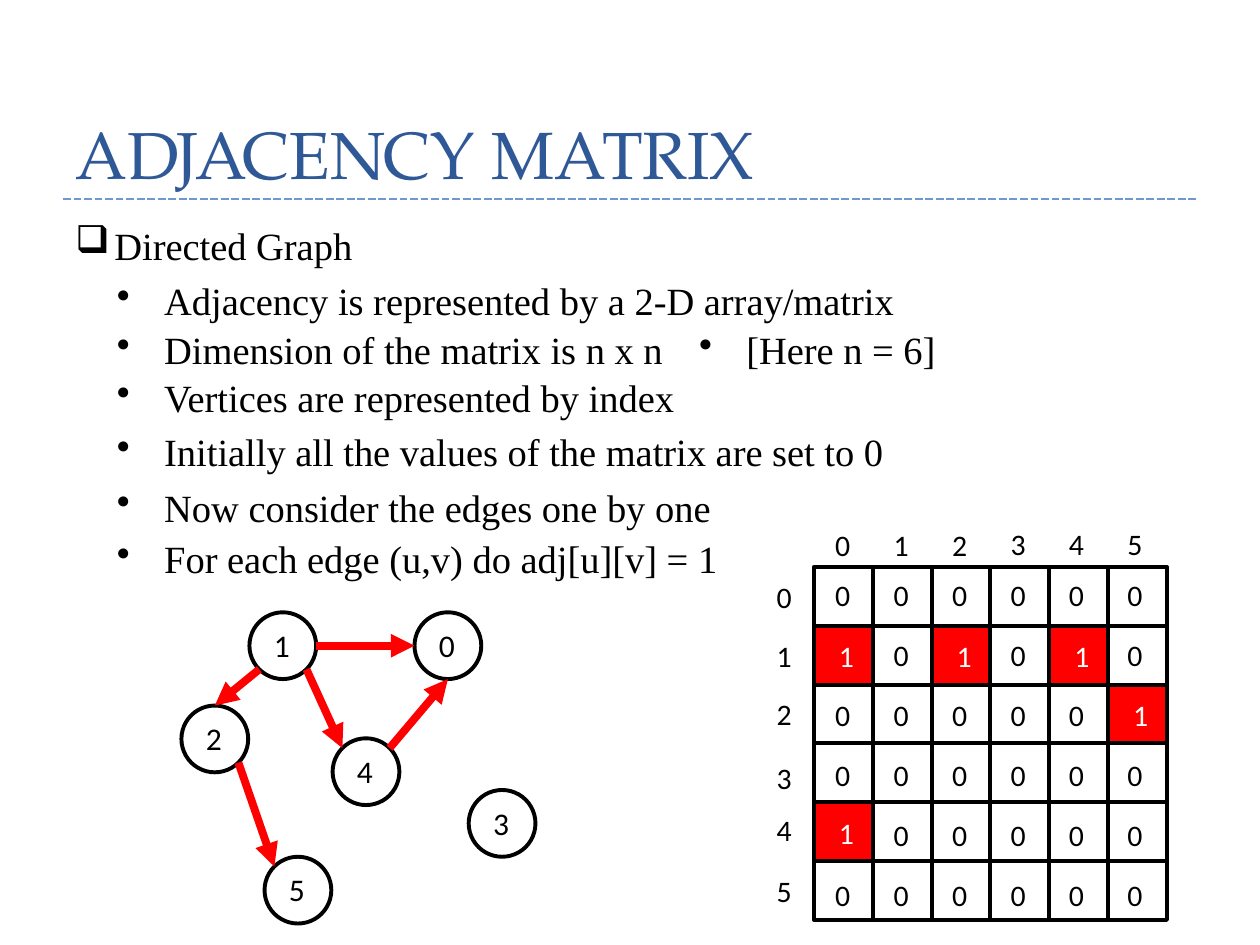
import math

import pptx
import pptx.dml.color
import pptx.enum.dml
import pptx.enum.shapes
import pptx.enum.text
import pptx.oxml.ns
import pptx.util
from lxml import etree

COLORS = {"title": "2F5897", "rule": "7097D3", "ink": "000000",
          "mark": "FF0000", "paper": "FFFFFF"}
SERIF, SANS, DISPLAY = "Times New Roman", "Calibri", "TeX Gyre Pagella"
COLUMNS, ROWS = 100, 75  # layout grid of the slide


class Page:
    """Style and current slide; every length is in grid columns and rows."""

    def __init__(self, deck):
        self.slide = deck.slides.add_slide(deck.slide_layouts[6])
        self.column = deck.slide_width / COLUMNS
        self.row = deck.slide_height / ROWS

    def place(self, x, y):
        return round(x * self.column), round(y * self.row)

    def color(self, name):
        return pptx.dml.color.RGBColor.from_string(COLORS[name])

    def text(self, words, x, y, width, height, size, font=SANS, color="ink"):
        box = self.slide.shapes.add_textbox(*self.place(x, y), *self.place(width, height))
        frame = box.text_frame
        frame.text = words
        frame.word_wrap = False
        frame.auto_size = pptx.enum.text.MSO_AUTO_SIZE.SHAPE_TO_FIT_TEXT
        span = frame.paragraphs[0].runs[0]
        span.font.size = pptx.util.Pt(size)
        span.font.name = font
        span.font.color.rgb = self.color(color)
        return box

    def title(self, words, x, y, width, height):
        frame = self.text(words, x, y, width, height, 38, DISPLAY, "title").text_frame
        frame.auto_size = pptx.enum.text.MSO_AUTO_SIZE.NONE
        frame.word_wrap = True
        frame.vertical_anchor = pptx.enum.text.MSO_ANCHOR.BOTTOM
        frame.paragraphs[0].line_spacing = pptx.util.Pt(58)

    def bullet(self, words, x, y, width, mark="•", indent=3.75):
        box = self.text(words, x, y, width, 4.7, 22, SERIF)
        properties = box.text_frame.paragraphs[0]._p.get_or_add_pPr()
        hang = round(indent * self.column)
        properties.set("marL", str(hang))
        properties.set("indent", str(-hang))
        bullet = etree.SubElement(properties, pptx.oxml.ns.qn("a:buChar"))
        bullet.set("char", mark)

    def shape(self, kind, x, y, width, height, fill=None):
        shape = self.slide.shapes.add_shape(kind, *self.place(x, y), *self.place(width, height))
        shape.shadow.inherit = False
        if fill:
            shape.fill.solid()
            shape.fill.fore_color.rgb = self.color(fill)
        else:
            shape.fill.background()
        shape.line.color.rgb = self.color("ink")
        shape.line.width = pptx.util.Pt(2.25)

    def line(self, start, end, color, width):
        line = self.slide.shapes.add_connector(
            pptx.enum.shapes.MSO_CONNECTOR.STRAIGHT, *self.place(*start), *self.place(*end))
        line.line.color.rgb = self.color(color)
        line.line.width = pptx.util.Pt(width)
        etree.SubElement(line._element.spPr, pptx.oxml.ns.qn("a:effectLst"))
        return line

    def arrow(self, start, end):
        line = self.line(start, end, "mark", 4.5)
        head = etree.SubElement(line.line._get_or_add_ln(), pptx.oxml.ns.qn("a:tailEnd"))
        head.set("type", "triangle")


def draw_heading(page):
    page.line((5, 15.8), (95, 15.8), "rule", 1.5).line.dash_style = \
        pptx.enum.dml.MSO_LINE.SQUARE_DOT
    page.title("ADJACENCY MATRIX", 5, 0, 90, 15.8)


def draw_bullets(page):
    page.bullet("Directed Graph", 5, 17.1, 24.3, "❑", 3.1)
    for words, x, y, width in (
            ("Adjacency is represented by a 2-D array/matrix", 8.3, 21.5, 64.4),
            ("Dimension of the matrix is n x n", 8.3, 25.4, 45.8),
            ("[Here n = 6]", 54.5, 25.4, 21),
            ("Vertices are represented by index", 8.3, 29.2, 46.7),
            ("Initially all the values of the matrix are set to 0", 8.3, 33.5, 63.6),
            ("Now consider the edges one by one", 8.3, 37.9, 49.7),
            ("For each edge (u,v) do adj[u][v] = 1", 8.3, 42, 50.2)):
        page.bullet(words, x, y, width)


# Vertex: left and top of its circle
NODES = {0: (32.9, 48.6), 1: (19.8, 48.6), 2: (14.4, 56),
         3: (37.2, 62.7), 4: (26.4, 58.6), 5: (21, 68)}
# Edge (u, v): angles in degrees at which it leaves u and reaches v
EDGES = {(1, 2): (225, 90), (1, 4): (315, 135), (1, 0): (0, 180),
         (4, 0): (45, 270), (2, 5): (315, 135)}


def draw_graph(page):
    diameter = 5.3

    def rim(node, degrees):
        left, top = NODES[node]
        radius, angle = diameter / 2, math.radians(degrees)
        return (left + radius * (1 + math.cos(angle)), top + radius * (1 - math.sin(angle)))

    for node, (left, top) in NODES.items():
        page.shape(pptx.enum.shapes.MSO_SHAPE.OVAL, left, top, diameter, diameter)
        page.text(str(node), left + 0.95, top + 0.6, 3.4, 4, 18)
    for (source, target), (leave, reach) in EDGES.items():
        page.arrow(rim(source, leave), rim(target, reach))


def draw_matrix(page):
    left, top, side = 64.6, 45, 4.67
    digit_pitch = 4.64
    square = pptx.enum.shapes.MSO_SHAPE.RECTANGLE
    size = range(len(NODES))

    def digit(value, x, y, color="ink"):
        page.text(str(value), x, y, 2.8 if value == 1 else 3.3, 3.9, 17, SANS, color)

    # Column and row indices
    for index, label_top in enumerate((45.4, 50.1, 54.7, 59.8, 63.9, 68.8)):
        digit(index, 65.3 + index * digit_pitch, 41.3 if index < 3 else 41.2)
        digit(index, 60.65, label_top)

    # Zeros first, so that the filled cells keep their whole border
    for row in size:
        for column in size:
            if (row, column) not in EDGES:
                page.shape(square, left + column * side, top + row * side, side, side)
                digit(0, 65.3 + column * digit_pitch, 45.3 + row * 4.76)
    for row, column in EDGES:
        x, y = left + column * side, top + row * side
        page.shape(square, x, y, side, side, "mark")
        digit(1, x + 1, y + 0.45, "paper")


def main():
    deck = pptx.Presentation()
    deck.slide_width = pptx.util.Inches(10)
    deck.slide_height = pptx.util.Inches(7.5)
    page = Page(deck)
    draw_heading(page)
    draw_bullets(page)
    draw_graph(page)
    draw_matrix(page)
    deck.save("out.pptx")


if __name__ == "__main__":
    main()
